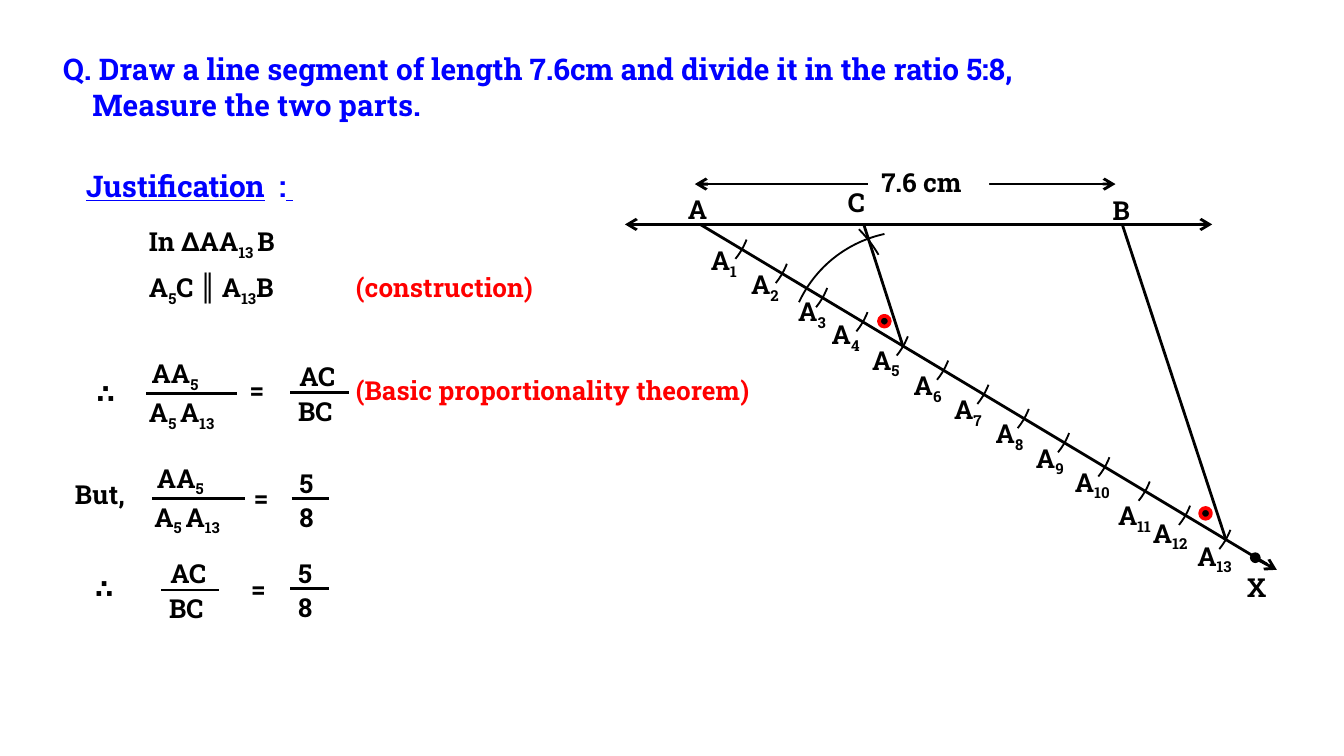
from pptx import Presentation
from pptx.dml.color import RGBColor
from pptx.enum import shapes as kinds, text
from pptx.oxml import ns
from pptx.util import Inches, Pt
from lxml import etree

FONT = "Roboto Slab"
COLORS = {"ink": "000000", "question": "0000FF", "reason": "FF0000", "paper": "FFFFFF"}

TICKS = 13
TICK_START, TICK_STEP, TICK_SIZE = (4.54, 1.07), (0.3, 0.18), 1.05
DIVISION_LABELS = [
    (5.19, 1.77), (5.49, 1.95), (5.84, 2.15), (6.09, 2.32), (6.39, 2.51),
    (6.7, 2.7), (7, 2.88), (7.31, 3.06), (7.61, 3.24), (7.9, 3.42),
    (8.22, 3.67), (8.48, 3.8), (8.81, 3.97),
]


def rgb(name):
    return RGBColor.from_string(COLORS[name])


def add_child(parent, tag, **attributes):
    return etree.SubElement(parent, ns.qn(tag), attributes)


def add_run(paragraph, words, color="ink", size=14, underline=False):
    run = paragraph.add_run()
    run.text = words
    font = run.font
    font.name, font.size, font.bold = FONT, Pt(size), True
    font.color.rgb = rgb(color)
    if underline:
        font.underline = True
    return run


def add_box(shapes, x, y, width, height=0.34, wrap=True):
    box = shapes.add_textbox(Inches(x), Inches(y), Inches(width), Inches(height))
    box.text_frame.word_wrap = wrap
    box.text_frame.auto_size = text.MSO_AUTO_SIZE.SHAPE_TO_FIT_TEXT
    return box


def add_math(shapes, expression, x, y, width, color="ink", wrap=True):
    """Write an expression in which underscores enclose each subscript."""
    box = add_box(shapes, x, y, width, wrap=wrap)
    for index, part in enumerate(expression.split("_")):
        if part:
            run = add_run(box.text_frame.paragraphs[0], part, color)
            if index % 2:
                run.font._element.set("baseline", "-25000")
    return box


def add_line(shapes, start, end, head=False, tail=False):
    line = shapes.add_connector(
        kinds.MSO_CONNECTOR.STRAIGHT, *(Inches(value) for value in start + end))
    line.line.color.rgb = rgb("ink")
    line.line.width = Pt(1.5)
    outline = line.line._get_or_add_ln()
    for wanted, tag in ((head, "a:headEnd"), (tail, "a:tailEnd")):
        if wanted:
            add_child(outline, tag, type="arrow")
    add_child(line._element.spPr, "a:effectLst")


def add_arc(shapes, x, y, size, rotation, start, end):
    """Draw part of a circle; start and end are adjustment values (0.6 per degree)."""
    arc = shapes.add_shape(
        kinds.MSO_SHAPE.ARC, Inches(x), Inches(y), Inches(size), Inches(size))
    arc.adjustments[0], arc.adjustments[1] = start, end
    arc.rotation = rotation
    arc.fill.background()
    arc.line.color.rgb = rgb("ink")
    arc.line.width = Pt(1)
    arc.shadow.inherit = False


def add_dot(shapes, x, y, rim=None):
    dot = shapes.add_shape(
        kinds.MSO_SHAPE.OVAL, Inches(x), Inches(y), Inches(0.08), Inches(0.08))
    dot.fill.solid()
    dot.fill.fore_color.rgb = rgb("ink")
    if rim:
        dot.line.color.rgb = rgb(rim)
        dot.line.width = Pt(2)
    else:
        dot.line.fill.background()
    dot.shadow.inherit = False


def add_fraction(shapes, x, y, length, numerator, denominator):
    """Stack two (expression, dx, dy, width) terms around a bar starting at x, y."""
    for expression, dx, dy, width in (numerator, denominator):
        add_math(shapes, expression, x + dx, y + dy, width)
    add_line(shapes, (x, y), (x + length, y))


def add_question(shapes):
    frame = add_box(shapes, 0.37, 0.33, 8.44, 0.64).text_frame
    add_run(frame.paragraphs[0],
            "Q. Draw a line segment of length 7.6cm and divide it in the ratio 5:8,",
            "question", 16)
    second = frame.add_paragraph()
    second._p.get_or_add_pPr().set("marL", str(Inches(0.22)))
    add_run(second, "Measure the two parts.", "question", 16)


def add_heading(shapes):
    heading = add_box(shapes, 0.54, 1.2, 2.01, 0.37).text_frame.paragraphs[0]
    stops = add_child(heading._p.get_or_add_pPr(), "a:tabLst")
    add_child(stops, "a:tab", pos=str(Inches(1.44)), algn="l")
    add_run(heading, "Justification", "question", 16, underline=True)
    add_run(heading, "\t:", "question", 16)
    add_run(heading, " ", "question", 16, underline=True)


def add_proof(shapes):
    for expression, x, y, width, color in (
        ("In ΔAA_13 _B", 1.01, 1.63, 1.42, "ink"),
        ("A_5_C ║ A_13_B", 1.01, 1.97, 1.72, "ink"),
        ("(construction)", 2.55, 1.97, 2.29, "reason"),
        ("(Basic proportionality theorem)", 2.55, 2.74, 4.13, "reason"),
        ("∴", 0.62, 2.76, 0.45, "ink"),
        ("But,", 0.46, 3.51, 0.7, "ink"),
        ("∴", 0.61, 4.21, 0.45, "ink"),
        ("=", 1.76, 2.74, 0.37, "ink"),
        ("=", 1.79, 3.54, 0.37, "ink"),
        ("=", 1.77, 4.22, 0.37, "ink"),
    ):
        add_math(shapes, expression, x, y, width, color)

    ray_parts = ("AA_5_", -0.06, -0.32, 0.6), ("A_5 _A_13_", -0.08, -0.03, 0.86)
    segment_parts = ("AC", -0.03, -0.29, 0.53), ("BC", -0.04, -0.03, 0.58)
    ratio = ("5", -0.04, -0.28, 0.3), ("8", -0.04, -0.03, 0.3)
    for x, y, length, terms in (
        (1.09, 2.93, 0.67, ray_parts), (2.16, 2.92, 0.44, segment_parts),
        (1.13, 3.71, 0.69, ray_parts), (2.17, 3.71, 0.28, ratio),
        (1.2, 4.39, 0.43, segment_parts), (2.16, 4.38, 0.29, ratio),
    ):
        add_fraction(shapes, x, y, length, *terms)


def add_construction(shapes):
    add_line(shapes, (4.65, 1.67), (9.02, 1.67), head=True, tail=True)
    add_line(shapes, (5.21, 1.67), (9.43, 4.2))
    add_line(shapes, (9.35, 4.16), (9.5, 4.24), tail=True)
    for index in range(TICKS):
        x, y = (start + index * step for start, step in zip(TICK_START, TICK_STEP))
        add_arc(shapes, x, y, TICK_SIZE, 353.1, 16.7, 27.59)
    for number, (x, y) in enumerate(DIVISION_LABELS, 1):
        add_math(shapes, f"A_{number}_", x, y, 0.45 if number < 10 else 0.52)
    add_line(shapes, (8.35, 1.67), (9.12, 4.01))
    add_line(shapes, (6.43, 1.68), (6.72, 2.58))
    add_arc(shapes, 5.86, 1.72, 1.83, 288.1, 166.13, 197.82)
    add_arc(shapes, 4.83, 1.44, 1.83, 38.8, 165.66, 174.68)
    for point, x, y in (("A", 5.02, 1.39), ("B", 8.18, 1.4),
                        ("C", 6.21, 1.34), ("X", 9.18, 4.2)):
        add_math(shapes, point, x, y, 0.38)
    add_dot(shapes, 9.3, 4.11)


def add_dimension(shapes):
    add_line(shapes, (5.17, 1.37), (8.3, 1.37), head=True, tail=True)
    length = add_math(shapes, "7.6 cm", 6.46, 1.19, 0.9, wrap=False)
    length.fill.solid()
    length.fill.fore_color.rgb = rgb("paper")


def main():
    deck = Presentation()
    deck.slide_width = Inches(10)
    deck.slide_height = deck.slide_width * 9 // 16
    shapes = deck.slides.add_slide(deck.slide_layouts[6]).shapes
    add_heading(shapes)
    add_proof(shapes)
    add_construction(shapes.add_group_shape().shapes)
    add_dimension(shapes.add_group_shape().shapes)
    add_question(shapes)
    for x, y in ((8.93, 3.78), (6.54, 2.35)):
        add_dot(shapes, x, y, rim="reason")
    deck.save("out.pptx")


if __name__ == "__main__":
    main()
